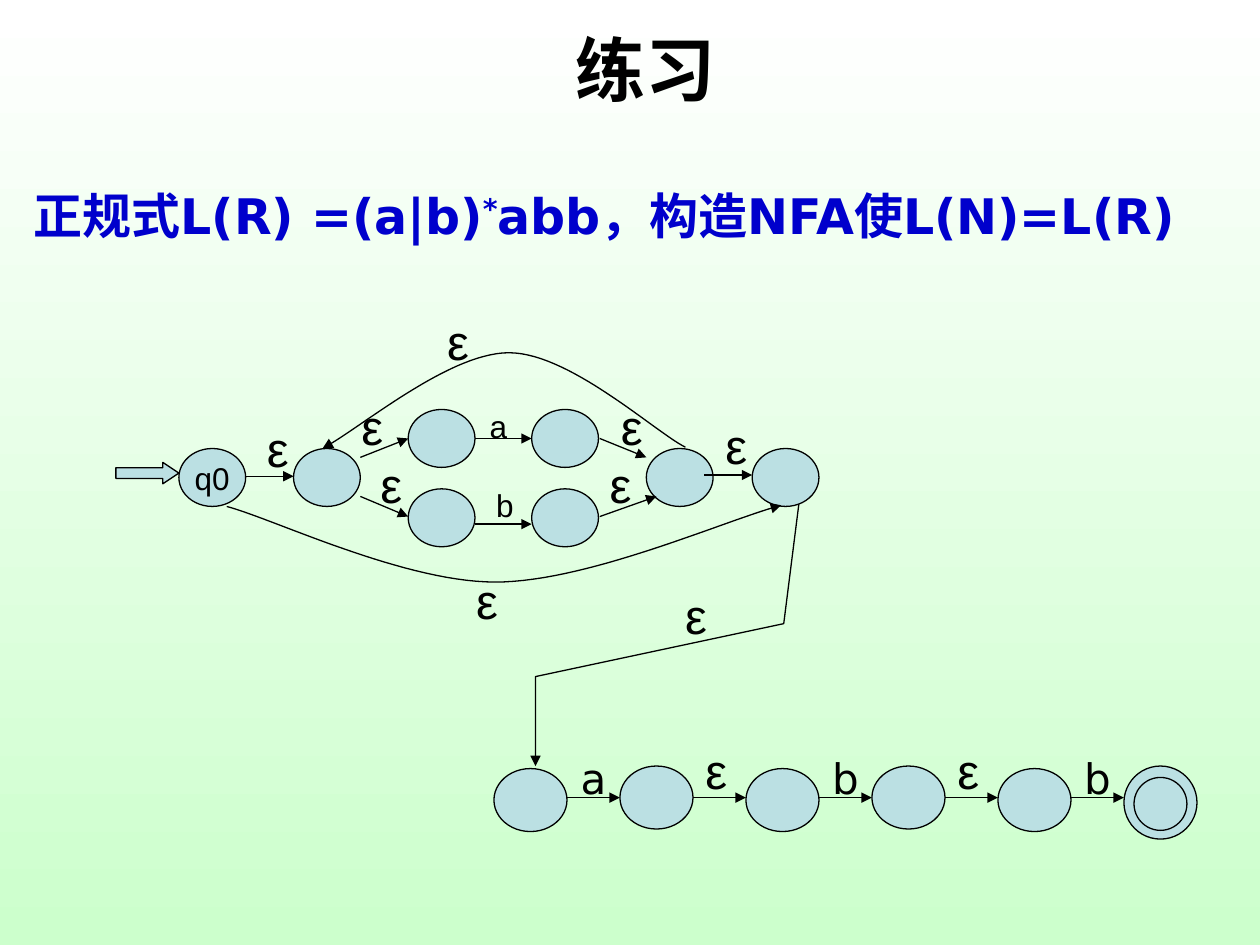
from dataclasses import dataclass
from itertools import pairwise

from lxml.etree import SubElement
from pptx import Presentation
from pptx.dml.color import RGBColor
from pptx.enum.shapes import MSO_CONNECTOR, MSO_SHAPE
from pptx.enum.text import MSO_ANCHOR, PP_ALIGN
from pptx.oxml.ns import qn
from pptx.util import Inches, Pt

Point = tuple[float, float]


@dataclass(frozen=True)
class Theme:
    ink: RGBColor = RGBColor(0, 0, 0)
    state: RGBColor = RGBColor(0xBB, 0xE0, 0xE3)
    question: RGBColor = RGBColor(0, 0, 0xCC)
    sky: RGBColor = RGBColor(0xFF, 0xFF, 0xFF)
    ground: RGBColor = RGBColor(0xCC, 0xFF, 0xCC)
    body_font: str = "Arial"
    wide_font: str = "DejaVu Sans"
    title_size: int = 40
    large_size: int = 28
    medium_size: int = 24
    small_size: int = 18
    stroke: float = 0.75


@dataclass(frozen=True)
class State:
    left: float
    top: float
    width: float = 0.53
    height: float = 0.46
    name: str = ""


@dataclass(frozen=True)
class Label:
    left: float
    top: float
    symbol: str = "ε"
    width: float = 0.37
    height: float = 0.57
    size: int = 28
    font: str = "Arial"


THEME = Theme()
prs = Presentation()
prs.slide_width, prs.slide_height = Inches(10), Inches(7.5)
slide = prs.slides.add_slide(prs.slide_layouts[6])


def style_font(paragraph, size: int, font: str, color: RGBColor = THEME.ink, bold: bool = False) -> None:
    paragraph.font.size = Pt(size)
    paragraph.font.name = font
    paragraph.font.color.rgb = color
    paragraph.font.bold = bold


def style_outline(shape) -> None:
    shape.line.color.rgb = THEME.ink
    shape.line.width = Pt(THEME.stroke)


def add_arrowhead(line) -> None:
    SubElement(line.line._get_or_add_ln(), qn("a:tailEnd"), type="triangle")


def add_filled(kind: MSO_SHAPE, left: float, top: float, width: float, height: float):
    shape = slide.shapes.add_shape(kind, Inches(left), Inches(top), Inches(width), Inches(height))
    shape.shadow.inherit = False
    shape.fill.solid()
    shape.fill.fore_color.rgb = THEME.state
    style_outline(shape)
    return shape


def add_state(state: State) -> None:
    circle = add_filled(MSO_SHAPE.OVAL, state.left, state.top, state.width, state.height)
    if state.name:
        frame = circle.text_frame
        frame.word_wrap = False
        frame.vertical_anchor = MSO_ANCHOR.MIDDLE
        frame.text = state.name
        frame.paragraphs[0].alignment = PP_ALIGN.CENTER
        style_font(frame.paragraphs[0], THEME.small_size, THEME.body_font)


def add_arrow(start: Point, end: Point) -> None:
    arrow = slide.shapes.add_connector(MSO_CONNECTOR.STRAIGHT, *map(Inches, start + end))
    style_outline(arrow)
    add_arrowhead(arrow)
    SubElement(arrow._element.spPr, qn("a:effectLst"))


def add_route(points: list[Point]) -> None:
    corners = [(Inches(x), Inches(y)) for x, y in points]
    builder = slide.shapes.build_freeform(*corners[0])
    builder.add_line_segments(corners[1:], close=False)
    route = builder.convert_to_shape()
    route.shadow.inherit = False
    route.fill.background()
    style_outline(route)
    add_arrowhead(route)


def bezier(controls: list[Point], steps: int = 30) -> list[Point]:
    """Sample a chain of cubic curves that share their end points."""
    points = [controls[0]]
    for i in range(0, len(controls) - 1, 3):
        for step in range(1, steps + 1):
            t = step / steps
            weights = ((1 - t) ** 3, 3 * t * (1 - t) ** 2, 3 * t * t * (1 - t), t ** 3)
            xs, ys = zip(*controls[i:i + 4])
            points.append((sum(w * x for w, x in zip(weights, xs)),
                           sum(w * y for w, y in zip(weights, ys))))
    return points


def add_text_frame(left: float, top: float, width: float, height: float, wrap: bool = True):
    box = slide.shapes.add_textbox(Inches(left), Inches(top), Inches(width), Inches(height))
    box.text_frame.word_wrap = wrap
    return box.text_frame


def add_label(label: Label) -> None:
    frame = add_text_frame(label.left, label.top, label.width, label.height, wrap=False)
    frame.text = label.symbol
    frame.paragraphs[0].alignment = PP_ALIGN.CENTER
    style_font(frame.paragraphs[0], label.size, label.font)


# Background
background = slide.background.fill
background.gradient()
background.gradient_angle = 270
for stop, color, position in zip(background.gradient_stops, (THEME.sky, THEME.ground), (0, 1)):
    stop.color.rgb = color
    stop.position = position

# Title
title = add_text_frame(1.08, 0, 8.08, 1.08)
title.vertical_anchor = MSO_ANCHOR.MIDDLE
title.text = "练习"
title.paragraphs[0].alignment = PP_ALIGN.CENTER
style_font(title.paragraphs[0], THEME.title_size, THEME.body_font, bold=True)

# Question
question = add_text_frame(0.17, 1.42, 9.67, 0.57).paragraphs[0]
for part in ("正规式L(R) =(a|b)", "*", "abb，构造NFA使L(N)=L(R)"):
    run = question.add_run()
    run.text = part
    if part == "*":
        run.font._element.set("baseline", "30000")
style_font(question, THEME.large_size, THEME.wide_font, THEME.question, bold=True)

# Automaton for (a|b)*
entry = add_filled(MSO_SHAPE.RIGHT_ARROW, 0.92, 3.67, 0.5, 0.17)
entry.adjustments[0], entry.adjustments[1] = 0.5, 0.75

MIDDLE = 3.56
for state in (State(1.42, MIDDLE, name="q0"), *(State(x, MIDDLE) for x in (2.33, 5.13, 5.97))):
    add_state(state)
for branch_top in (3.25, 3.88):
    for branch_left in (3.24, 4.22):
        add_state(State(branch_left, branch_top))

for start, end in (
    ((1.95, 3.78), (2.33, 3.78)), ((5.59, 3.77), (5.97, 3.77)),
    ((2.86, 3.63), (3.24, 3.48)), ((2.86, 3.94), (3.24, 4.1)),
    ((3.77, 3.48), (4.22, 3.48)), ((3.77, 4.16), (4.22, 4.16)),
    ((4.76, 3.48), (5.13, 3.63)), ((4.76, 4.1), (5.21, 3.94)),
):
    add_arrow(start, end)

# Loop back, bypass and link to the abb chain
add_route(bezier([(5.44, 3.55), (5.2, 3.43), (4.52, 2.8), (4.04, 2.8),
                  (3.56, 2.8), (2.86, 3.4), (2.56, 3.56)]))
add_route(bezier([(1.8, 4.02), (2.15, 4.11), (3.2, 4.62), (3.93, 4.62),
                  (4.66, 4.62), (5.73, 4.14), (6.2, 4.01)]))
add_route([(6.34, 4), (6.22, 4.95), (4.25, 5.37), (4.25, 6.08)])

for x, y in ((2.02, 3.27), (5.66, 3.25), (2.77, 3.1), (2.92, 3.56), (4.83, 3.1),
             (4.74, 3.56), (3.45, 2.42), (3.68, 4.48), (5.34, 4.6)):
    add_label(Label(x, y))
add_label(Label(3.69, 3.18, "a", 0.53, 0.4, THEME.small_size))
add_label(Label(3.84, 3.81, "b", 0.3, 0.4, THEME.small_size))

# Chain for abb, ending in the accepting state
chain = [State(3.92 + i, 6.08 if i % 2 else 6.1, 0.58, 0.5) for i in range(5)]
chain.append(State(8.92, 6.08, 0.58, 0.58))
for state in (*chain, State(9, 6.17, 0.42, 0.42)):
    add_state(state)
for (source, target), symbol in zip(pairwise(chain), "aεbεb"):
    right = source.left + source.width
    add_arrow((right, 6.33), (target.left, 6.33))
    if symbol == "ε":
        add_label(Label(right, 5.83))
    else:
        add_label(Label(right, 5.92, symbol, 0.42, 0.5, THEME.medium_size, THEME.wide_font))

prs.save("out.pptx")
